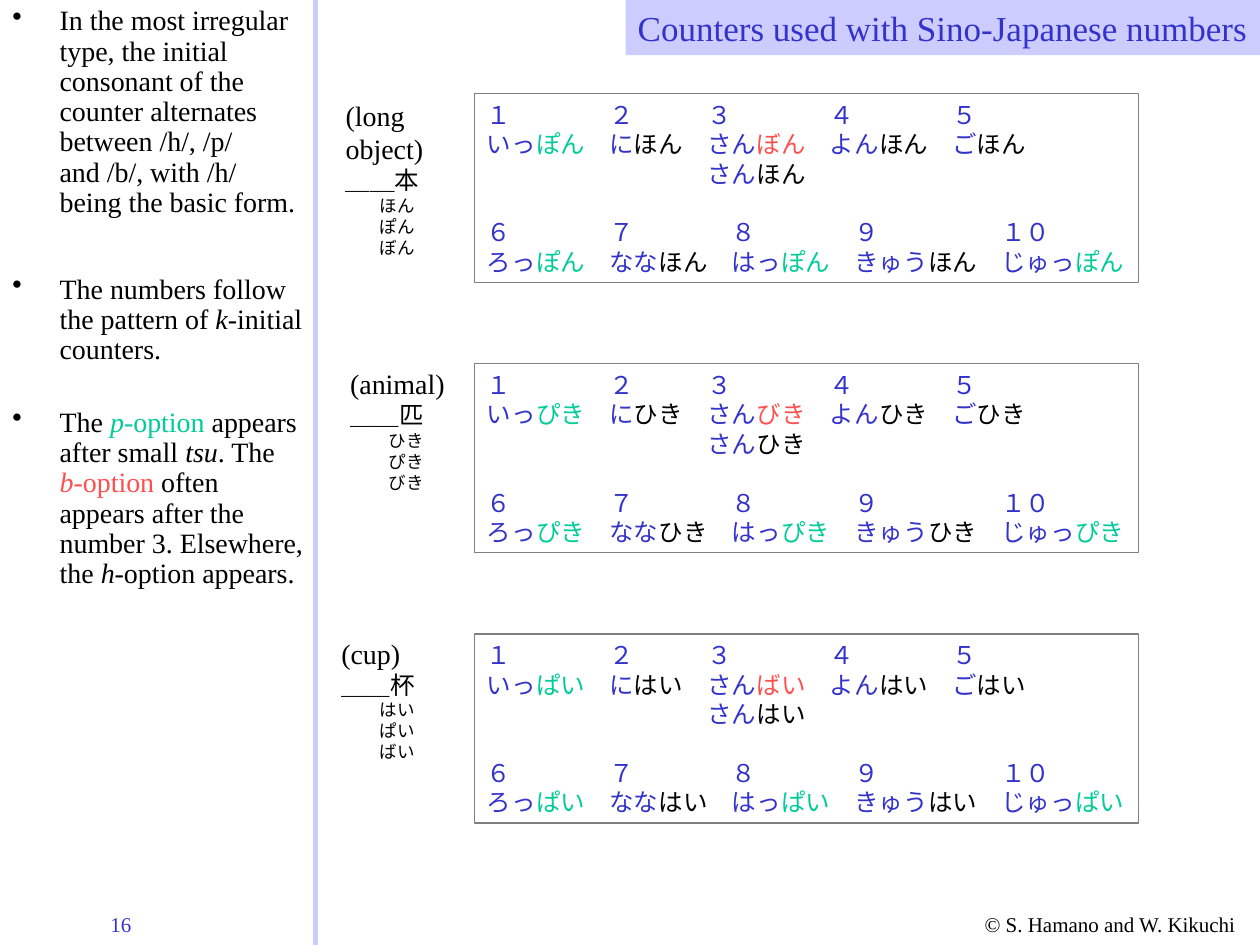
from lxml import etree
from pptx import Presentation
from pptx.dml.color import RGBColor
from pptx.enum.shapes import MSO_CONNECTOR, MSO_SHAPE
from pptx.enum.text import MSO_ANCHOR, MSO_AUTO_SIZE, PP_ALIGN
from pptx.oxml.ns import qn
from pptx.util import Pt

STRAIGHT = MSO_CONNECTOR.STRAIGHT
RECTANGLE = MSO_SHAPE.RECTANGLE
TOP, MIDDLE = MSO_ANCHOR.TOP, MSO_ANCHOR.MIDDLE
LEFT, RIGHT = PP_ALIGN.LEFT, PP_ALIGN.RIGHT
NO_AUTOFIT = MSO_AUTO_SIZE.NONE

COLORS = {
    "black": "000000",
    "blue": "3333CC",
    "lavender": "CCCCFF",
    "green": "00CC99",
    "red": "FF5050",
    "gray": "808080",
}
LATIN = "Times New Roman"
JAPANESE = "Noto Sans CJK JP"
LINE_HEIGHT = 1.2
KANA_SIZE = 14


def prepare_frame(shape, anchor=TOP):
    """Set wrapping, margins and anchor, and return the text frame."""
    frame = shape.text_frame
    frame.word_wrap = True
    frame.auto_size = NO_AUTOFIT
    frame.vertical_anchor = anchor
    frame.margin_left = frame.margin_right = Pt(7.2)
    frame.margin_top = frame.margin_bottom = Pt(3.6)
    return frame


def add_run(paragraph, text, size, color="black", font=LATIN, italic=False):
    run = paragraph.add_run()
    run.text = text
    run.font.size = Pt(size)
    run.font.name = font
    run.font.italic = italic
    run.font.color.rgb = RGBColor.from_string(COLORS[color])
    if font == JAPANESE:
        etree.SubElement(run.font._element, qn("a:ea"), typeface=font)


presentation = Presentation()
presentation.slide_width, presentation.slide_height = Pt(720), Pt(540)
slide = presentation.slides.add_slide(presentation.slide_layouts[5])
shapes = slide.shapes

# Title band
title = shapes.title
title.left, title.top, title.width, title.height = Pt(357.5), Pt(0), Pt(362.5), Pt(31.5)
title.fill.solid()
title.fill.fore_color.rgb = RGBColor.from_string(COLORS["lavender"])
frame = prepare_frame(title, MIDDLE)
frame.margin_left = Pt(0)
paragraph = frame.paragraphs[0]
paragraph.alignment = RIGHT
add_run(paragraph, "Counters used with Sino-Japanese numbers", 20, "blue")

# Divider between explanation and examples
divider = shapes.add_connector(STRAIGHT, Pt(180.5), Pt(0), Pt(180.5), Pt(540))
divider.line.color.rgb = RGBColor.from_string(COLORS["lavender"])
divider.line.width = Pt(3)
etree.SubElement(divider._element.spPr, qn("a:effectLst"))

# Footer
for text, left, width, color in [
    ("16", 56, 64, "blue"),
    ("© S. Hamano and W. Kikuchi", 555.5, 164.5, "black"),
]:
    box = shapes.add_textbox(Pt(left), Pt(517.5), Pt(width), Pt(21.6))
    add_run(prepare_frame(box).paragraphs[0], text, 12, color)

# Explanation: top, height, runs of (text, colour, italic)
explanations = [
    (0, 129, [
        ("In the most irregular type, the initial consonant of the counter alternates "
         "between /h/, /p/ and /b/, with /h/ being the basic form.", "black", False),
    ]),
    (153.5, 70, [
        ("The numbers follow the pattern of ", "black", False),
        ("k", "black", True),
        ("-initial counters.", "black", False),
    ]),
    (229.5, 139, [
        ("The ", "black", False),
        ("p", "green", True),
        ("-option", "green", False),
        (" appears after small ", "black", False),
        ("tsu", "black", True),
        (". The ", "black", False),
        ("b", "red", True),
        ("-option", "red", False),
        (" often appears after the number 3. Elsewhere, the ", "black", False),
        ("h", "black", True),
        ("-option appears.", "black", False),
    ]),
]
for top, height, runs in explanations:
    box = shapes.add_textbox(Pt(0), Pt(top), Pt(180.5), Pt(height))
    paragraph = prepare_frame(box).paragraphs[0]
    properties = paragraph._p.get_or_add_pPr()
    properties.set("marL", str(Pt(27)))
    properties.set("indent", str(Pt(-27)))
    etree.SubElement(properties, qn("a:buChar"), char="•")
    paragraph.line_spacing = Pt(17.3)
    for text, color, italic in runs:
        add_run(paragraph, text, 16, color, italic=italic)

# Counters: label left, top, meaning lines, kanji, kana indent, (h, p, b) forms
counters = [
    (190.5, 52.5, ["(long", "object)"], "本", 19.5, ("ほん", "ぽん", "ぼん")),
    (193, 206, ["(animal)"], "匹", 22, ("ひき", "ぴき", "びき")),
    (188, 360, ["(cup)"], "杯", 22, ("はい", "ぱい", "ばい")),
]
FORM_COLORS = ("black", "green", "red")
H, P, B = range(3)

# Rows of each box: columns counted in full-width characters, then (stem, form) cells
UPPER_COLUMNS = (0, 5, 9, 14, 19)
LOWER_COLUMNS = (0, 5, 10, 15, 21)
number_rows = [
    (UPPER_COLUMNS, [(digit, None) for digit in "１２３４５"]),
    (UPPER_COLUMNS, [("いっ", P), ("に", H), ("さん", B), ("よん", H), ("ご", H)]),
    ((9,), [("さん", H)]),
    (LOWER_COLUMNS, [(digit, None) for digit in ("６", "７", "８", "９", "１０")]),
    (LOWER_COLUMNS, [("ろっ", P), ("なな", H), ("はっ", P), ("きゅう", H), ("じゅっ", P)]),
]
LOWER_START = 3

for index, (left, top, meaning, kanji, indent, forms) in enumerate(counters):
    lines = [(text, 16, LATIN, 0) for text in meaning]
    lines.append(("＿＿" + kanji, 14, JAPANESE, 0))
    lines += [(form, 10, JAPANESE, indent) for form in forms]
    height = 7.2 + sum(size * LINE_HEIGHT for _, size, _, _ in lines)
    label = shapes.add_textbox(Pt(left), Pt(top), Pt(80), Pt(height))
    frame = prepare_frame(label)
    for number, (text, size, font, margin) in enumerate(lines):
        paragraph = frame.add_paragraph() if number else frame.paragraphs[0]
        paragraph._p.get_or_add_pPr().set("marL", str(Pt(margin)))
        paragraph.line_spacing = Pt(size * LINE_HEIGHT)
        add_run(paragraph, text, size, font=font)

    box = shapes.add_shape(RECTANGLE, Pt(271.2), Pt(53.5 + 154.4 * index), Pt(379.4), Pt(108))
    box.shadow.inherit = False
    box.fill.background()
    box.line.color.rgb = RGBColor.from_string(COLORS["gray"])
    box.line.width = Pt(0.75)
    frame = prepare_frame(box)
    frame.margin_right = Pt(0)
    for number, (columns, cells) in enumerate(number_rows):
        paragraph = frame.add_paragraph() if number else frame.paragraphs[0]
        paragraph.alignment = LEFT
        tabs = etree.SubElement(paragraph._p.get_or_add_pPr(), qn("a:tabLst"))
        paragraph.line_spacing = Pt(KANA_SIZE * LINE_HEIGHT)
        if number == LOWER_START:
            paragraph.space_before = Pt(KANA_SIZE * LINE_HEIGHT)
        for column, (stem, form) in zip(columns, cells):
            if column:
                etree.SubElement(tabs, qn("a:tab"), pos=str(Pt(column * KANA_SIZE)), algn="l")
                stem = "\t" + stem
            add_run(paragraph, stem, KANA_SIZE, "blue", JAPANESE)
            if form is not None:
                add_run(paragraph, forms[form], KANA_SIZE, FORM_COLORS[form], JAPANESE)

presentation.save("out.pptx")
